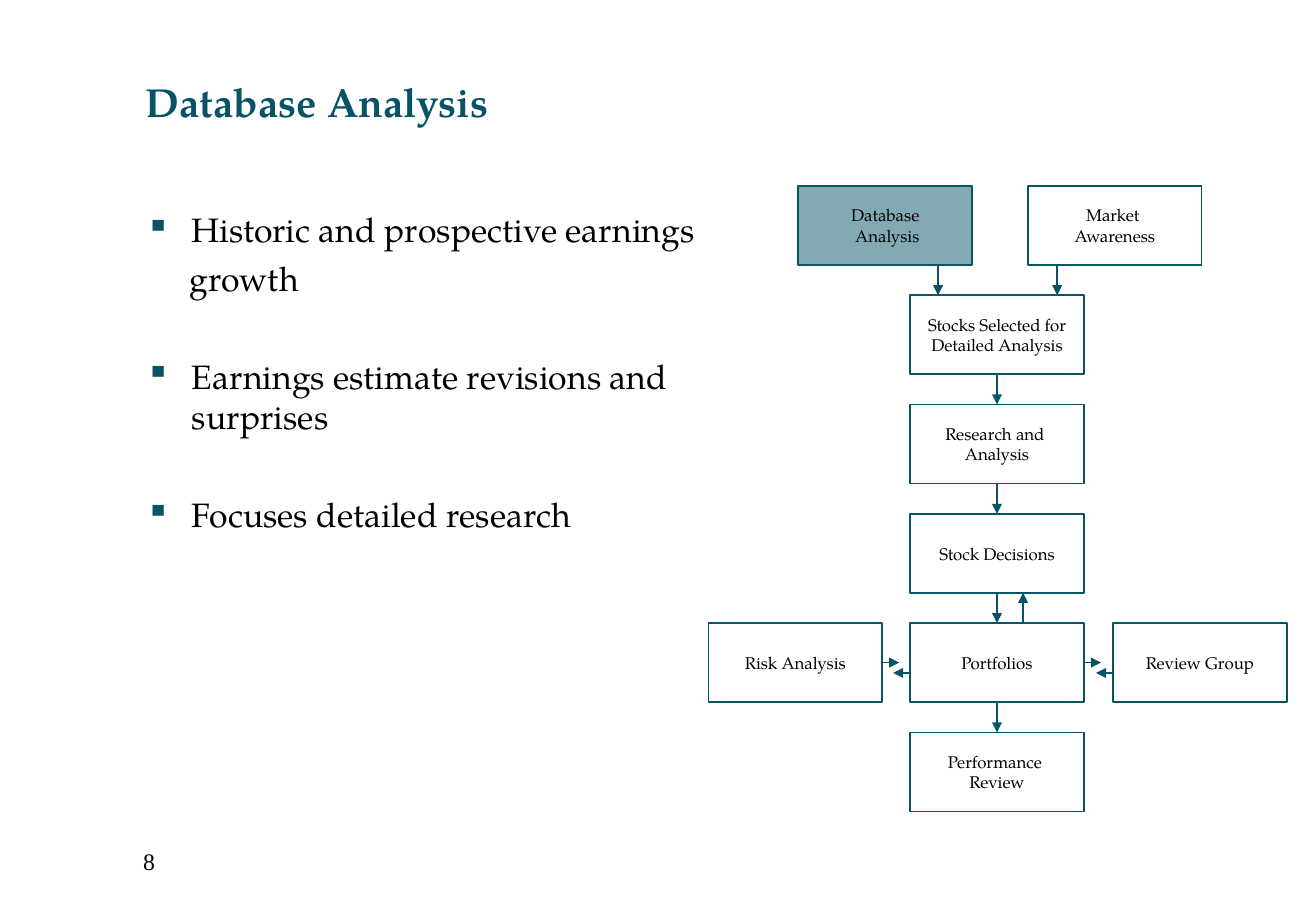
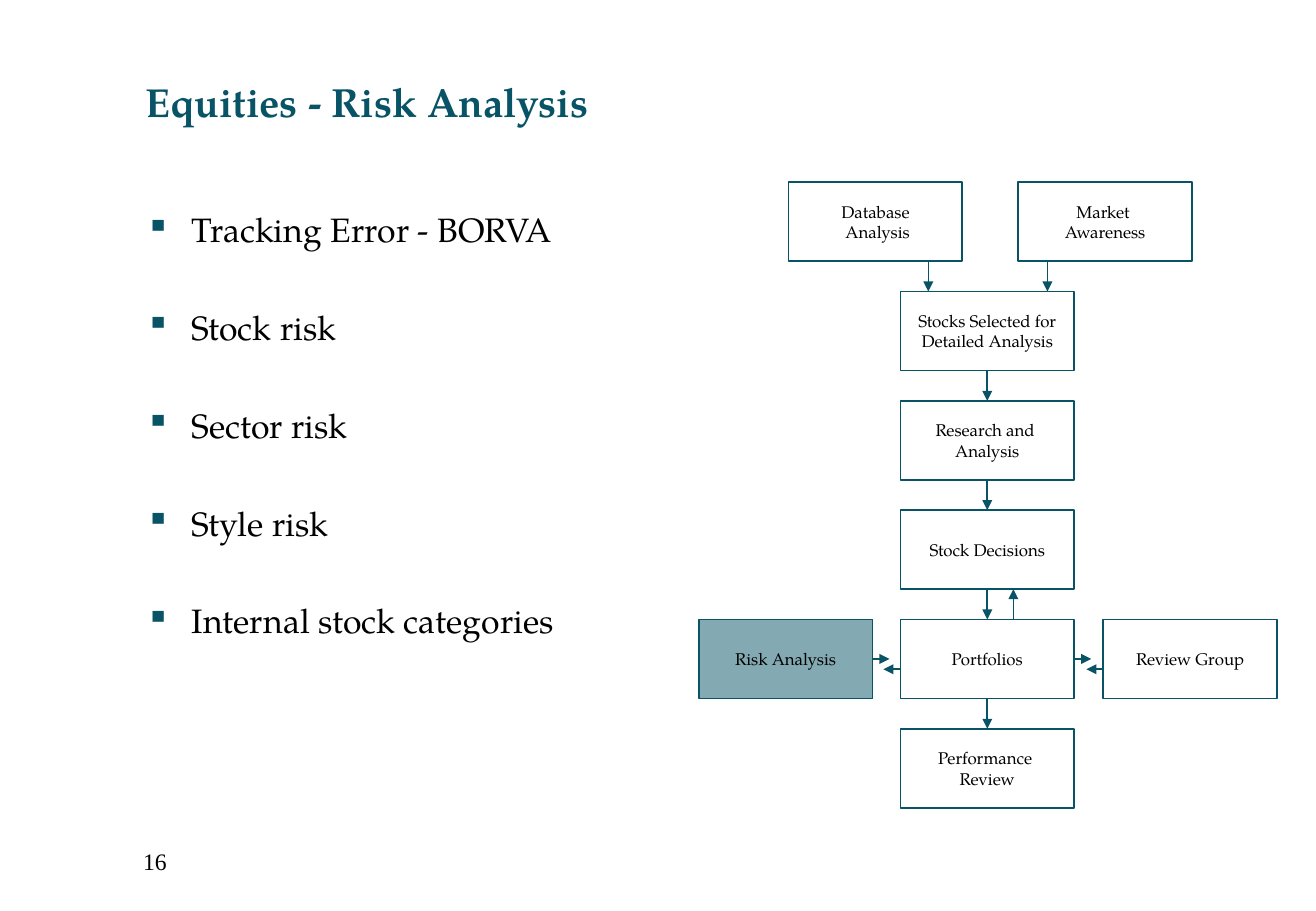
import pptx
import pptx.util
import pptx.dml.color
import pptx.enum.shapes
import pptx.enum.text
import pptx.oxml.xmlchemy

Inches = pptx.util.Inches
Pt = pptx.util.Pt
COLORS = {"teal": "085466", "white": "FFFFFF", "black": "000000"}
SERIF = "TeX Gyre Pagella"

# Each bullet is a list of lines; a second line is a paragraph of its own.
SLIDES = [
    {"title": "Database Analysis", "number": "8", "origin": (5.83, 1.53),
     "highlight": "database",
     "bullets": [["Historic and prospective earnings", "growth"],
                 ["Earnings estimate revisions and surprises"],
                 ["Focuses detailed research"]]},
    {"title": "Equities - Risk Analysis", "number": "16", "origin": (5.75, 1.5),
     "highlight": "risk",
     "bullets": [["Tracking Error - BORVA"], ["Stock risk"], ["Sector risk"],
                 ["Style risk"], ["Internal stock categories"]]},
]

# Flow chart: key -> (text, left offset in inches, row)
BOX_WIDTH, BOX_HEIGHT, ROW_STEP = 1.43, 0.65, 0.9
CENTER, RIGHT = 1.66, 3.33
BOXES = {
    "database": ("Database\n Analysis", 0.74, 0),
    "market": ("Market \nAwareness", 2.63, 0),
    "selected": ("Stocks Selected for\nDetailed Analysis", CENTER, 1),
    "research": ("Research and \nAnalysis", CENTER, 2),
    "decisions": ("Stock Decisions", CENTER, 3),
    "risk": ("Risk Analysis", 0, 4),
    "portfolios": ("Portfolios", CENTER, 4),
    "review": ("Review Group", RIGHT, 4),
    "performance": ("Performance \nReview", CENTER, 5),
}
CHAIN = ["selected", "research", "decisions", "portfolios", "performance"]
SIDE_PAIRS = [("risk", "portfolios"), ("portfolios", "review")]
STUB = 0.14          # length of the short sideways arrows
RETURN_DROP = 0.41   # height of the returning arrows below the box top
BOTTOM, TOP, RIGHT_SIDE = 2, 0, 3


def rgb(name):
    return pptx.dml.color.RGBColor.from_string(COLORS[name])


def add_xml(parent, tag, **attributes):
    child = pptx.oxml.xmlchemy.OxmlElement(tag)
    for key, value in attributes.items():
        child.set(key, value)
    parent.append(child)
    return child


def style(para, size, color="black", font=SERIF, bold=False):
    for span in para.runs:
        span.font.size = Pt(size)
        span.font.name = font
        span.font.bold = bold
        span.font.color.rgb = rgb(color)


def add_text(page, left, top, width, height, text=""):
    box = page.shapes.add_textbox(*map(Inches, (left, top, width, height)))
    box.text_frame.word_wrap = True
    box.text_frame.text = text
    return box.text_frame


def add_frame(page, title, number):
    """Add the title and the page number."""
    frame = add_text(page, 1.1, 0.25, 8.81, 1.25, title)
    frame.vertical_anchor = pptx.enum.text.MSO_ANCHOR.MIDDLE
    frame.paragraphs[0].line_spacing = 0.8
    style(frame.paragraphs[0], 24, "teal", bold=True)
    footer = add_text(page, 1.08, 6.92, 2.33, 0.58, number)
    style(footer.paragraphs[0], 14, font="Times New Roman")


def add_bullets(page, bullets):
    frame = add_text(page, 1.1, 1.67, 4.9, 4.35)
    lines = [(text, index, position) for index, bullet in enumerate(bullets)
             for position, text in enumerate(bullet)]
    frame.text = "\n".join(text for text, _, _ in lines)
    for para, (_, index, position) in zip(frame.paragraphs, lines):
        para.space_before = Pt(34 if index and not position else 5)
        style(para, 20)
        props = para._p.get_or_add_pPr()
        props.set("marL", str(Inches(0.36 if position else 0.38)))
        if not position:
            props.set("indent", str(Inches(-0.38)))
            add_xml(add_xml(props, "a:buClr"), "a:srgbClr", val=COLORS["teal"])
            add_xml(props, "a:buChar", char="▪")


def add_box(page, text, left, top, highlighted):
    box = page.shapes.add_shape(
        pptx.enum.shapes.MSO_SHAPE.RECTANGLE,
        *map(Inches, (left, top, BOX_WIDTH, BOX_HEIGHT)))
    box.shadow.inherit = False
    box.fill.solid()
    box.fill.fore_color.rgb = rgb("teal" if highlighted else "white")
    if highlighted:
        color = box._element.spPr.find(".//" + pptx.oxml.ns.qn("a:srgbClr"))
        add_xml(color, "a:alpha", val="50000")
    box.line.color.rgb = rgb("teal")
    box.line.width = Pt(1)
    frame = box.text_frame
    frame.text = text
    frame.word_wrap = False
    frame.vertical_anchor = pptx.enum.text.MSO_ANCHOR.MIDDLE
    for para in frame.paragraphs:
        para.alignment = pptx.enum.text.PP_ALIGN.CENTER
        style(para, 10)
    return box


def add_arrow(page, x1, y1, x2, y2):
    arrow = page.shapes.add_connector(
        pptx.enum.shapes.MSO_CONNECTOR.STRAIGHT, x1, y1, x2, y2)
    arrow.line.color.rgb = rgb("teal")
    arrow.line.width = Pt(1)
    add_xml(arrow.line._get_or_add_ln(), "a:tailEnd", type="triangle")
    add_xml(arrow._element.spPr, "a:effectLst")
    return arrow


def add_flow(page, origin, highlight):
    left, top = origin
    boxes = {key: add_box(page, text, left + offset, top + row * ROW_STEP, key == highlight)
             for key, (text, offset, row) in BOXES.items()}

    def bottom(key):
        return boxes[key].top + boxes[key].height

    for key, offset in (("database", 0.23), ("market", 1.21)):
        x = boxes["selected"].left + Inches(offset)
        add_arrow(page, x, bottom(key), x, boxes["selected"].top)

    for upper, lower in zip(CHAIN, CHAIN[1:]):
        arrow = add_arrow(page, 0, 0, 0, 0)
        arrow.begin_connect(boxes[upper], BOTTOM)
        arrow.end_connect(boxes[lower], TOP)

    x = boxes["portfolios"].left + Inches(0.93)
    add_arrow(page, x, boxes["portfolios"].top, x, bottom("decisions"))

    for first, second in SIDE_PAIRS:
        start = boxes[first].left + boxes[first].width
        middle = boxes[first].top + boxes[first].height // 2
        arrow = add_arrow(page, start, middle, start + Inches(STUB), middle)
        arrow.begin_connect(boxes[first], RIGHT_SIDE)
        back = boxes[second].left
        y = boxes[second].top + Inches(RETURN_DROP)
        add_arrow(page, back, y, back - Inches(STUB), y)


def main():
    deck = pptx.Presentation()
    deck.slide_width, deck.slide_height = Inches(10.83), Inches(7.5)
    for content in SLIDES:
        page = deck.slides.add_slide(deck.slide_layouts[6])
        add_flow(page, content["origin"], content["highlight"])
        add_bullets(page, content["bullets"])
        add_frame(page, content["title"], content["number"])
    deck.save("out.pptx")


if __name__ == "__main__":
    main()
